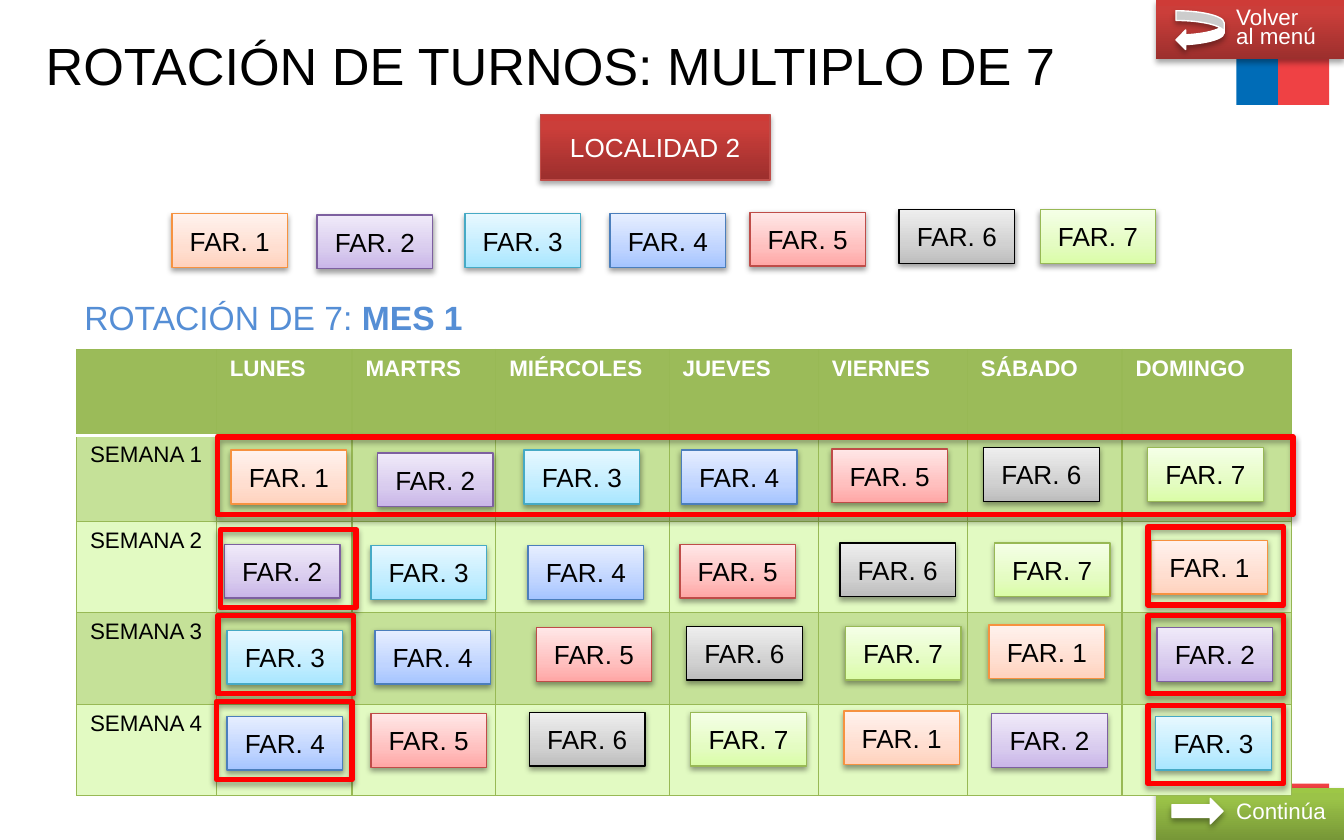
from dataclasses import dataclass
from typing import NamedTuple

from lxml.etree import SubElement
from pptx import Presentation
from pptx.dml.color import RGBColor
from pptx.enum.shapes import MSO_SHAPE
from pptx.enum.text import MSO_ANCHOR, MSO_AUTO_SIZE, PP_ALIGN
from pptx.oxml.ns import qn
from pptx.util import Inches, Pt


class Box(NamedTuple):
    left: float
    top: float
    width: float
    height: float

    def inner(self, left, top, width, height):
        return Box(self.left + left, self.top + top, width, height)

    def lengths(self):
        return [Inches(value) for value in self]


@dataclass(frozen=True)
class Theme:
    font: str = "Arial"
    title_size: int = 28
    subtitle_size: int = 18
    label_size: int = 14
    small_size: int = 12
    black: str = "000000"
    white: str = "FFFFFF"
    subtitle: str = "558ED5"
    frame: str = "FF0000"
    flag_blue: str = "006CB7"
    flag_red: str = "EF4144"
    header: str = "9BBB59"
    grid: str = "98B955"
    bands: tuple = ("C5E198", "E2FAC2")
    red_line: str = "BF4C48"
    red: tuple = ((0, "9C2F2D"), (80, "CB3E3A"), (100, "CE3B37"))
    green: tuple = ((0, "779737"), (80, "9BC348"), (100, "9DC746"))
    chips: tuple = (
        ("F69240", "FFD2BD", "FFDED0", "FFF2ED"),
        ("7D60A0", "C9B5E8", "D8CBEE", "F0EAF9"),
        ("46AAC5", "A7E6FF", "C1EDFF", "E7F8FF"),
        ("4B7EBC", "A4C4FF", "BFD4FF", "E6EEFF"),
        ("BF4C48", "FFA6A5", "FFC0BF", "FFE7E7"),
        ("000000", "BDBDBD", "D1D1D1", "EEEEEE"),
        ("98B955", "DAFDA7", "E4FCC2", "F5FFE7"),
    )


THEME = Theme()
DAYS = ("LUNES", "MARTRS", "MIÉRCOLES", "JUEVES", "VIERNES", "SÁBADO", "DOMINGO")
COLUMN_WIDTHS = (1.04, 1.01, 1.07, 1.29, 1.11, 1.11, 1.15, 1.26)
ROW_HEIGHTS = (0.64, 0.64, 0.68, 0.68, 0.68)
CHIP_SIZE = (0.86, 0.4)
FRAME_SIZE = (1.01, 0.58)
PHARMACY_SPOTS = ((0, 0.03), (1.08, 0.04), (2.18, 0.03), (3.26, 0.03),
                  (4.3, 0.02), (5.41, 0), (6.46, 0))
WEEK_SPOTS = (
    ((0.12, 0.11), (1.21, 0.13), (2.3, 0.11), (3.47, 0.11),
     (4.59, 0.1), (5.72, 0.09), (6.94, 0.09)),
    ((0.07, 0.17), (1.16, 0.18), (2.33, 0.18), (3.46, 0.17),
     (4.65, 0.16), (5.8, 0.16), (6.97, 0.14)),
    ((0.09, 0.13), (1.19, 0.13), (2.39, 0.11), (3.51, 0.1),
     (4.69, 0.1), (5.76, 0.09), (7.01, 0.11)),
    ((0.09, 0.09), (1.16, 0.07), (2.34, 0.06), (3.54, 0.06),
     (4.68, 0.05), (5.78, 0.07), (7, 0.09)),
)
FRAME_SPOTS = (((0.04, 0.06), (6.94, 0.04)),
               ((0.02, 0.02), (6.94, 0.02)),
               ((0.01, -0.02), (6.94, 0.01)))


def write(para, text, size=THEME.label_size, color=THEME.black, bold=False,
          align=PP_ALIGN.LEFT, spacing=None):
    para.alignment = align
    if spacing:
        para.line_spacing = spacing
    span = para.add_run()
    span.text = text
    span.font.name = THEME.font
    span.font.size = Pt(size)
    span.font.bold = bold
    span.font.color.rgb = RGBColor.from_string(color)


def add_shadow(shape, opacity=35, distance=1.8):
    effects = shape._element.spPr.find(qn("a:effectLst"))
    shadow = SubElement(effects, qn("a:outerShdw"), blurRad=str(Pt(3.1)),
                        dist=str(Pt(distance)), dir="5400000", rotWithShape="0")
    color = SubElement(shadow, qn("a:srgbClr"), val=THEME.black)
    SubElement(color, qn("a:alpha"), val=str(opacity * 1000))


def fill_gradient(shape, stops):
    shape.fill.gradient()
    shape.fill.gradient_angle = 90
    stop_list = shape._element.spPr.find(qn("a:gradFill")).find(qn("a:gsLst"))
    for stop in list(stop_list):
        stop_list.remove(stop)
    for position, color in stops:
        stop = SubElement(stop_list, qn("a:gs"), pos=str(position * 1000))
        SubElement(stop, qn("a:srgbClr"), val=color)


def add_block(page, box, kind=MSO_SHAPE.RECTANGLE, fill=None, stops=None,
              line=None, line_width=0.75):
    shape = page.shapes.add_shape(kind, *box.lengths())
    shape.shadow.inherit = False
    shape.text_frame.vertical_anchor = MSO_ANCHOR.MIDDLE
    if stops:
        fill_gradient(shape, stops)
    elif fill:
        shape.fill.solid()
        shape.fill.fore_color.rgb = RGBColor.from_string(fill)
    else:
        shape.fill.background()
    if line:
        shape.line.color.rgb = RGBColor.from_string(line)
        shape.line.width = Pt(line_width)
    else:
        shape.line.fill.background()
    return shape


def add_flag(page, box):
    add_block(page, box.inner(0, 0, 0.31, box.height), fill=THEME.flag_blue)
    add_block(page, box.inner(0.31, 0, 0.38, box.height), fill=THEME.flag_red)


def add_title(page, box):
    title = page.shapes.title
    title.left, title.top, title.width, title.height = box.lengths()
    frame = title.text_frame
    frame.margin_left = frame.margin_right = frame.margin_top = frame.margin_bottom = 0
    frame.word_wrap = False
    frame.vertical_anchor = MSO_ANCHOR.MIDDLE
    write(frame.paragraphs[0], "ROTACIÓN DE TURNOS: MULTIPLO DE 7",
          size=THEME.title_size, spacing=0.9)


def add_button(page, box, lines, stops, arrow, arrow_box):
    button = add_block(page, box, stops=stops)
    add_shadow(button)
    frame = button.text_frame
    for index, text in enumerate(lines):
        para = frame.add_paragraph() if index else frame.paragraphs[0]
        para.level = 1
        write(para, text, size=THEME.small_size, color=THEME.white, spacing=0.7)
        properties = para._p.get_or_add_pPr()
        properties.set("marL", str(Inches(0.5)))
        properties.set("indent", "0")
    add_shadow(add_block(page, box.inner(*arrow_box), kind=arrow,
                         fill=THEME.white, line=THEME.white))


def add_locality(page, box):
    locality = add_block(page, box, stops=THEME.red, line=THEME.red_line)
    add_shadow(locality)
    write(locality.text_frame.paragraphs[0], "LOCALIDAD 2",
          color=THEME.white, align=PP_ALIGN.CENTER)


def add_chips(page, box, spots, shift=0):
    for index, spot in enumerate(spots):
        number = (index + shift) % len(THEME.chips)
        line, *colors = THEME.chips[number]
        chip = add_block(page, box.inner(*spot, *CHIP_SIZE),
                         stops=zip((0, 35, 100), colors), line=line)
        add_shadow(chip, opacity=38, distance=1.6)
        write(chip.text_frame.paragraphs[0], f"FAR. {number + 1}", align=PP_ALIGN.CENTER)


def add_frame(page, box):
    add_shadow(add_block(page, box, line=THEME.frame, line_width=3))


def add_subtitle(page, box):
    frame = page.shapes.add_textbox(*box.lengths()).text_frame
    frame.word_wrap = False
    frame.auto_size = MSO_AUTO_SIZE.SHAPE_TO_FIT_TEXT
    for text, bold in (("ROTACIÓN DE 7: ", False), ("MES 1", True)):
        write(frame.paragraphs[0], text, size=THEME.subtitle_size,
              color=THEME.subtitle, bold=bold)


def add_borders(cell, row):
    properties = cell._tc.get_or_add_tcPr()
    for side in ("lnL", "lnR", "lnT", "lnB"):
        divider = (row, side) in ((0, "lnB"), (1, "lnT"))
        border = SubElement(properties, qn(f"a:{side}"), w=str(Pt(2 if divider else 0.75)))
        fill = SubElement(border, qn("a:solidFill"))
        SubElement(fill, qn("a:srgbClr"), val=THEME.white if divider else THEME.grid)


def add_calendar(page, box):
    table = page.shapes.add_table(len(ROW_HEIGHTS), len(COLUMN_WIDTHS), *box.lengths()).table
    table.horz_banding = False
    for column, width in zip(table.columns, COLUMN_WIDTHS):
        column.width = Inches(width)
    for row, height in enumerate(ROW_HEIGHTS):
        table.rows[row].height = Inches(height)
        texts = ("", *DAYS) if row == 0 else (f"SEMANA {row}",)
        for column in range(len(COLUMN_WIDTHS)):
            cell = table.cell(row, column)
            add_borders(cell, row)
            cell.fill.solid()
            color = THEME.bands[(row - 1) % 2] if row else THEME.header
            cell.fill.fore_color.rgb = RGBColor.from_string(color)
            if column < len(texts) and texts[column]:
                write(cell.text_frame.paragraphs[0], texts[column], size=THEME.small_size,
                      color=THEME.black if row else THEME.white, bold=row == 0)


def add_weeks(page, box):
    for week, spots in enumerate(WEEK_SPOTS):
        row_box = box.inner(0, sum(ROW_HEIGHTS[1:week + 1]), box.width, ROW_HEIGHTS[week + 1])
        if week == 0:
            add_frame(page, row_box.inner(0.02, 0.01, 8, 0.58))
        add_chips(page, row_box, spots, shift=week)
        if week:
            for spot in FRAME_SPOTS[week - 1]:
                add_frame(page, row_box.inner(*spot, *FRAME_SIZE))


def main():
    deck = Presentation()
    deck.slide_width, deck.slide_height = Inches(10), Inches(6.25)
    page = deck.slides.add_slide(deck.slide_layouts[5])
    add_flag(page, Box(9.2, 0, 0.69, 0.78))
    add_flag(page, Box(9.2, 5.83, 0.69, 0.42))
    add_title(page, Box(0.34, 0.14, 7.83, 0.74))
    add_locality(page, Box(4.02, 0.85, 1.71, 0.49))
    add_button(page, Box(8.6, 0, 1.4, 0.44), ("Volver", "al menú"), THEME.red,
               MSO_SHAPE.CURVED_LEFT_ARROW, (0.15, 0.08, 0.36, 0.29))
    add_button(page, Box(8.6, 5.86, 1.4, 0.39), ("Continúa",), THEME.green,
               MSO_SHAPE.RIGHT_ARROW, (0.12, 0.08, 0.38, 0.19))
    add_calendar(page, Box(0.57, 2.6, 9.06, 3.34))
    add_subtitle(page, Box(0.53, 2.16, 3.04, 0.4))
    add_chips(page, Box(1.28, 1.56, 7.32, 0.44), PHARMACY_SPOTS)
    add_weeks(page, Box(1.6, 3.24, 8.02, 2.68))
    deck.save("out.pptx")


if __name__ == "__main__":
    main()
